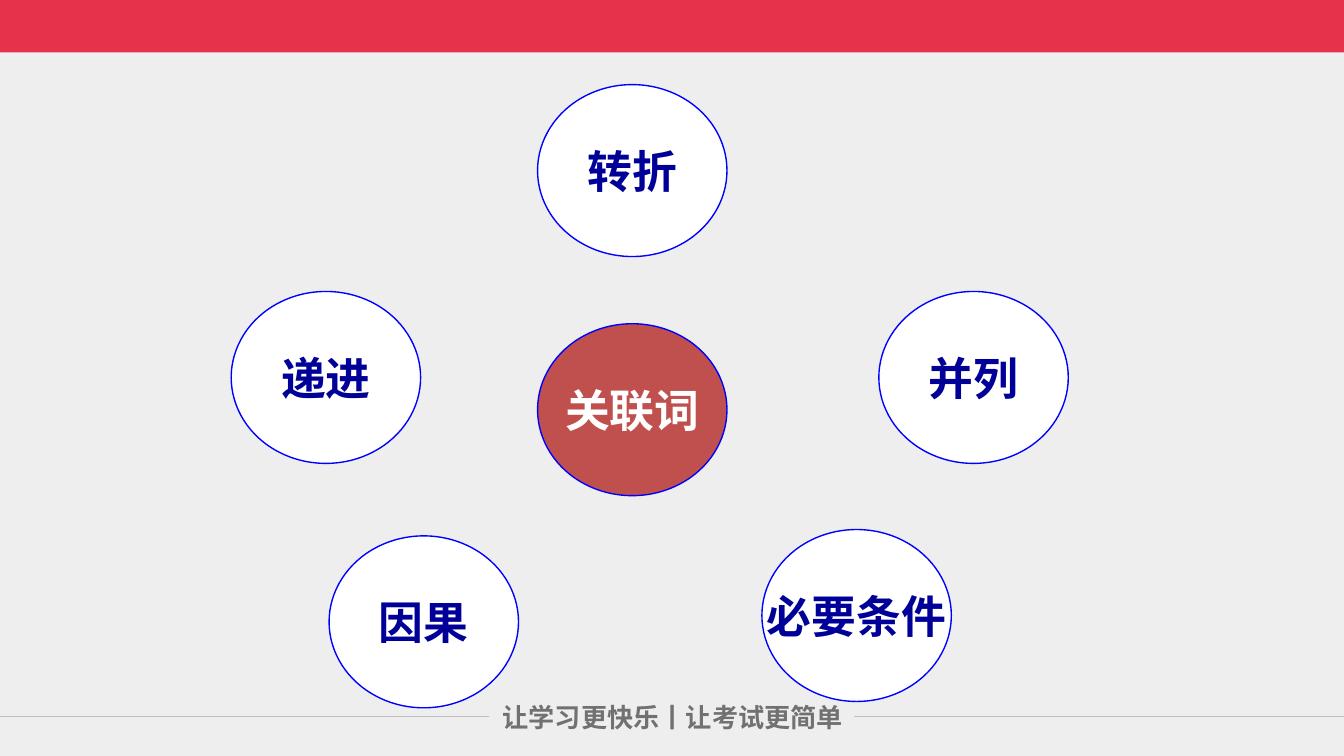
from dataclasses import dataclass

from lxml.etree import SubElement
from pptx import Presentation
from pptx.dml.color import RGBColor
from pptx.enum.shapes import MSO_CONNECTOR, MSO_SHAPE
from pptx.enum.text import MSO_ANCHOR, PP_ALIGN
from pptx.oxml.ns import qn
from pptx.util import Cm, Pt


@dataclass(frozen=True)
class Theme:
    """Colours, fonts and sizes of the slide."""
    backdrop: str = "EEEEEE"
    banner: str = "E6324B"
    rule: str = "BFBFBF"
    slogan: str = "727171"
    outline: str = "0000FF"
    term: str = "000099"
    hub: str = "C0504D"
    white: str = "FFFFFF"
    latin_font: str = "Arial"
    chinese_font: str = "Noto Sans CJK JP"
    term_size: int = 24
    slogan_size: int = 14
    line_width: float = 0.75


THEME = Theme()
CIRCLE_SIZE = (3.58, 3.25)
HUB = ("关联词", 10.16, 6.12)
TERMS = [
    ("转折", 10.16, 1.6),
    ("递进", 4.37, 5.51),
    ("并列", 16.61, 5.51),
    ("因果", 6.22, 10.13),
    ("必要条件", 14.4, 10.01),
]


def write_text(frame, text, *, size, color, font, align=PP_ALIGN.LEFT):
    """Write one bold paragraph into a text frame."""
    paragraph = frame.paragraphs[0]
    paragraph.alignment = align
    run = paragraph.add_run()
    run.text = text
    run.font.size = Pt(size)
    run.font.bold = True
    run.font.name = font
    run.font.color.rgb = RGBColor.from_string(color)
    SubElement(run.font._element, qn("a:ea"), typeface=THEME.chinese_font)


def add_filled(slide, preset, box, fill, outline=None):
    """Add a flat preset shape, with an optional outline."""
    shape = slide.shapes.add_shape(preset, *map(Cm, box))
    shape.shadow.inherit = False
    shape.fill.solid()
    shape.fill.fore_color.rgb = RGBColor.from_string(fill)
    if outline:
        shape.line.color.rgb = RGBColor.from_string(outline)
        shape.line.width = Pt(THEME.line_width)
    else:
        shape.line.fill.background()
    return shape


def add_circle(slide, text, left, top, fill=THEME.white, color=THEME.term):
    """Add an outlined circle with a centred term."""
    circle = add_filled(slide, MSO_SHAPE.OVAL, (left, top, *CIRCLE_SIZE),
                        fill, THEME.outline)
    frame = circle.text_frame
    frame.word_wrap = False
    frame.vertical_anchor = MSO_ANCHOR.MIDDLE
    frame.margin_left = frame.margin_right = 0
    frame.margin_top = frame.margin_bottom = 0
    write_text(frame, text, size=THEME.term_size, color=color,
               font=THEME.latin_font, align=PP_ALIGN.CENTER)


def add_rule(slide, start, end, y):
    """Add a thin horizontal line."""
    rule = slide.shapes.add_connector(MSO_CONNECTOR.STRAIGHT,
                                      Cm(start), Cm(y), Cm(end), Cm(y))
    rule.line.color.rgb = RGBColor.from_string(THEME.rule)
    rule.line.width = Pt(THEME.line_width)
    SubElement(rule._element.spPr, qn("a:effectLst"))


def add_footer(slide):
    """Add the slogan with a line on each side."""
    slogan = slide.shapes.add_textbox(Cm(9.25), Cm(13.13), Cm(7.26), Cm(1.45))
    slogan.text_frame.word_wrap = True
    write_text(slogan.text_frame, "让学习更快乐丨让考试更简单",
               size=THEME.slogan_size, color=THEME.slogan,
               font=THEME.chinese_font)
    for start, end in ((16.15, 26.92), (-1.09, 9.25)):
        add_rule(slide, start, end, 13.54)


def main():
    """Build the slide and save it."""
    deck = Presentation()
    deck.slide_width, deck.slide_height = Cm(25.4), Cm(14.29)
    slide = deck.slides.add_slide(deck.slide_layouts[6])
    add_filled(slide, MSO_SHAPE.RECTANGLE, (-0.05, 0.03, 25.55, 14.26),
               THEME.backdrop)
    add_filled(slide, MSO_SHAPE.RECTANGLE, (-0.08, -0.18, 25.55, 1.17),
               THEME.banner)
    add_footer(slide)
    add_circle(slide, *HUB, fill=THEME.hub, color=THEME.white)
    for term in TERMS:
        add_circle(slide, *term)
    deck.save("out.pptx")


main()
